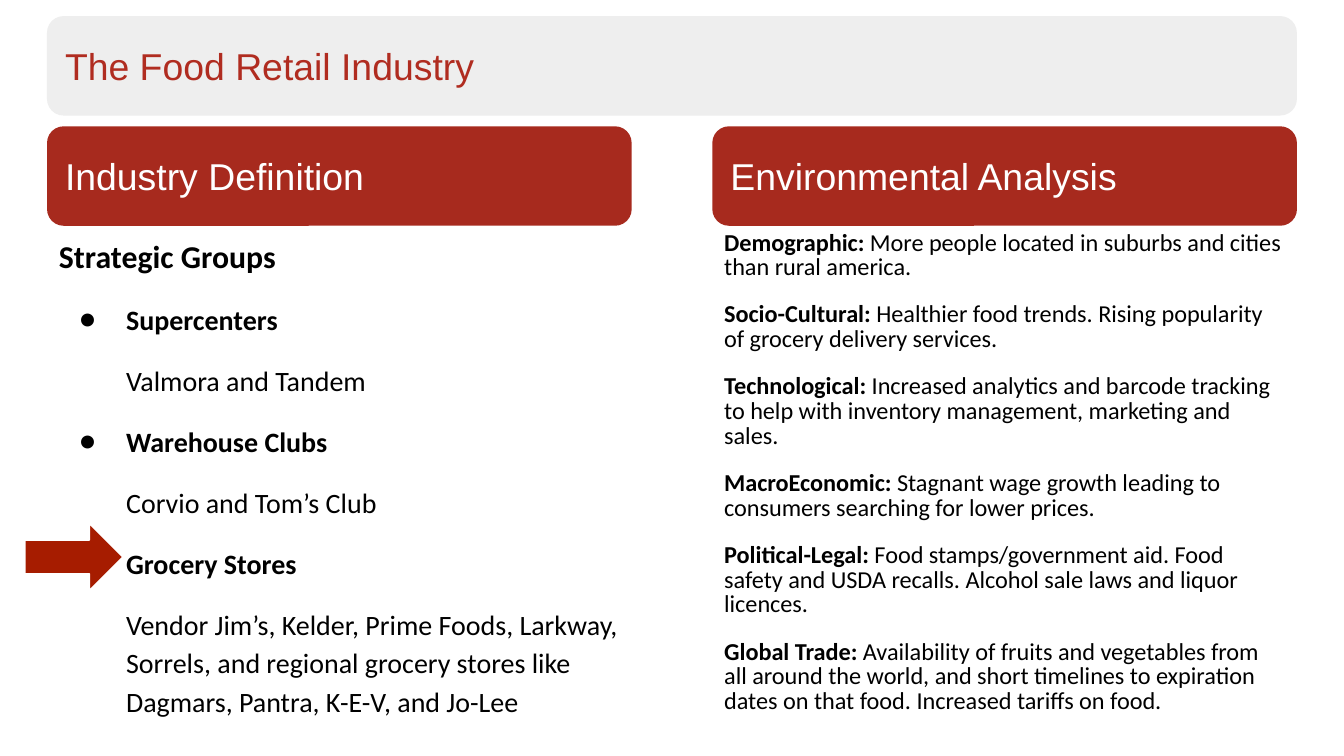
from dataclasses import dataclass

from lxml.etree import SubElement
from pptx import Presentation
from pptx.dml.color import RGBColor
from pptx.enum.shapes import MSO_SHAPE
from pptx.enum.text import MSO_ANCHOR, PP_ALIGN
from pptx.oxml.ns import qn
from pptx.util import Inches, Pt

SLIDE_WIDTH = 10
SLIDE_HEIGHT = SLIDE_WIDTH * 9 / 16
MARGIN, GUTTER = 0.35, 0.6
COLUMN_WIDTH = (SLIDE_WIDTH - 2 * MARGIN - GUTTER) / 2
FIRST_ROW, ROW_PITCH, BANNER_HEIGHT = 0.12, 0.82, 0.74
BODY_TOP, BODY_HEIGHT = 1.62, 4.01
INSET, HANGING, BULLET_INDENT = 0.1, 0.5, 0.35
RED, PALE, BLACK, WHITE = "A72A1E", "EEEEEE", "000000", "FFFFFF"


@dataclass(frozen=True)
class Banner:
    """A rounded heading placed by column and row."""
    heading: str
    column: int
    row: int
    span: int
    fill: str
    ink: str


@dataclass(frozen=True)
class Run:
    """A stretch of text in one weight."""
    wording: str
    bold: bool = False


@dataclass(frozen=True)
class Entry:
    """One paragraph of a body column."""
    runs: tuple[Run, ...]
    indent: float = 0
    bullet: bool = False


@dataclass(frozen=True)
class Body:
    """A column of paragraphs in one line spacing."""
    column: int
    lead_size: float
    size: float
    line_spacing: float
    entries: tuple[Entry, ...]


BANNERS = (
    Banner("The Food Retail Industry", 0, 0, 2, PALE, "B02C20"),
    Banner("Industry Definition", 0, 1, 1, RED, WHITE),
    Banner("Environmental Analysis", 1, 1, 1, RED, WHITE),
)

GROUPS = (
    ("Supercenters", "Valmora and Tandem", True),
    ("Warehouse Clubs", "Corvio and Tom’s Club", True),
    ("Grocery Stores",
     "Vendor Jim’s, Kelder, Prime Foods, Larkway, Sorrels, and regional "
     "grocery stores like Dagmars, Pantra, K-E-V, and Jo-Lee", False),
)

FORCES = (
    ("Demographic: ", "More people located in suburbs and cities than rural america."),
    ("Socio-Cultural: ", "Healthier food trends. Rising popularity of grocery delivery services."),
    ("Technological: ", "Increased analytics and barcode tracking to help with inventory "
     "management, marketing and sales."),
    ("MacroEconomic:", " Stagnant wage growth leading to consumers searching for lower prices."),
    ("Political-Legal: ", "Food stamps/government aid. Food safety and USDA recalls. "
     "Alcohol sale laws and liquor licences."),
    ("Global Trade: ", "Availability of fruits and vegetables from all around the world, and "
     "short timelines to expiration dates on that food. Increased tariffs on food."),
)


def color(code: str) -> RGBColor:
    """Turn a hex string into a colour."""
    return RGBColor.from_string(code)


def column_left(column: int) -> float:
    """Give the left edge of a column in inches."""
    return MARGIN + column * (COLUMN_WIDTH + GUTTER)


def set_insets(frame) -> None:
    """Wrap the text and give it equal insets."""
    frame.word_wrap = True
    frame.margin_left = frame.margin_right = Inches(INSET)
    frame.margin_top = frame.margin_bottom = Inches(INSET)


def add_run(paragraph, run: Run, size: float, font: str, ink: str) -> None:
    """Append one styled run to a paragraph."""
    piece = paragraph.add_run()
    piece.text = run.wording
    piece.font.size = Pt(size)
    piece.font.name = font
    piece.font.bold = run.bold
    piece.font.color.rgb = color(ink)


def draw_banner(slide, banner: Banner) -> None:
    """Draw a rounded heading across its columns."""
    width = banner.span * COLUMN_WIDTH + (banner.span - 1) * GUTTER
    plate = slide.shapes.add_shape(
        MSO_SHAPE.ROUNDED_RECTANGLE, Inches(column_left(banner.column)),
        Inches(FIRST_ROW + banner.row * ROW_PITCH), Inches(width), Inches(BANNER_HEIGHT))
    plate.shadow.inherit = False
    plate.fill.solid()
    plate.fill.fore_color.rgb = color(banner.fill)
    plate.line.fill.background()
    set_insets(plate.text_frame)
    plate.text_frame.vertical_anchor = MSO_ANCHOR.MIDDLE
    heading = plate.text_frame.paragraphs[0]
    heading.alignment = PP_ALIGN.LEFT
    add_run(heading, Run(banner.heading), 20, "Arial", banner.ink)


def format_indent(paragraph, entry: Entry) -> None:
    """Set the indent of a paragraph and its bullet, if any."""
    properties = paragraph._p.get_or_add_pPr()
    properties.set("marL", str(Inches(entry.indent)))
    properties.set("indent", str(-Inches(BULLET_INDENT) if entry.bullet else 0))
    if entry.bullet:
        bullet_color = SubElement(properties, qn("a:buClr"))
        SubElement(bullet_color, qn("a:srgbClr"), val=BLACK)
        SubElement(properties, qn("a:buFont"), typeface="Calibri")
        SubElement(properties, qn("a:buChar"), char="●")


def draw_body(slide, body: Body) -> None:
    """Draw a column of paragraphs below its heading."""
    box = slide.shapes.add_textbox(
        Inches(column_left(body.column) - 0.01), Inches(BODY_TOP),
        Inches(COLUMN_WIDTH + 0.02), Inches(BODY_HEIGHT))
    frame = box.text_frame
    set_insets(frame)
    for index, entry in enumerate(body.entries):
        paragraph = frame.add_paragraph() if index else frame.paragraphs[0]
        paragraph.line_spacing = body.line_spacing
        paragraph.space_before = Pt(12 if index else 0)
        format_indent(paragraph, entry)
        for run in entry.runs:
            add_run(paragraph, run, body.size if index else body.lead_size, "Calibri", BLACK)


def draw_pointer(slide) -> None:
    """Draw the arrow that points at the last strategic group."""
    pointer = slide.shapes.add_shape(
        MSO_SHAPE.UP_ARROW, Inches(0.3), Inches(3.78), Inches(0.5), Inches(0.73))
    pointer.rotation = 90
    pointer.shadow.inherit = False
    pointer.fill.solid()
    pointer.fill.fore_color.rgb = color("A61C00")
    pointer.line.color.rgb = color(WHITE)
    pointer.line.width = Pt(0.75)


def main() -> None:
    """Build the slide and save it."""
    deck = Presentation()
    deck.slide_width, deck.slide_height = Inches(SLIDE_WIDTH), Inches(SLIDE_HEIGHT)
    slide = deck.slides.add_slide(deck.slide_layouts[6])
    groups = [Entry((Run("Strategic Groups", True),))]
    for group, members, bullet in GROUPS:
        groups.append(Entry((Run(group, True),), HANGING, bullet))
        groups.append(Entry((Run(members),), HANGING))
    forces = tuple(Entry((Run(force, True), Run(effect))) for force, effect in FORCES)
    draw_body(slide, Body(0, 17, 15, 1.15, tuple(groups)))
    draw_pointer(slide)
    draw_body(slide, Body(1, 13, 13, 0.85, forces))
    for banner in BANNERS:
        draw_banner(slide, banner)
    deck.save("out.pptx")


if __name__ == "__main__":
    main()
